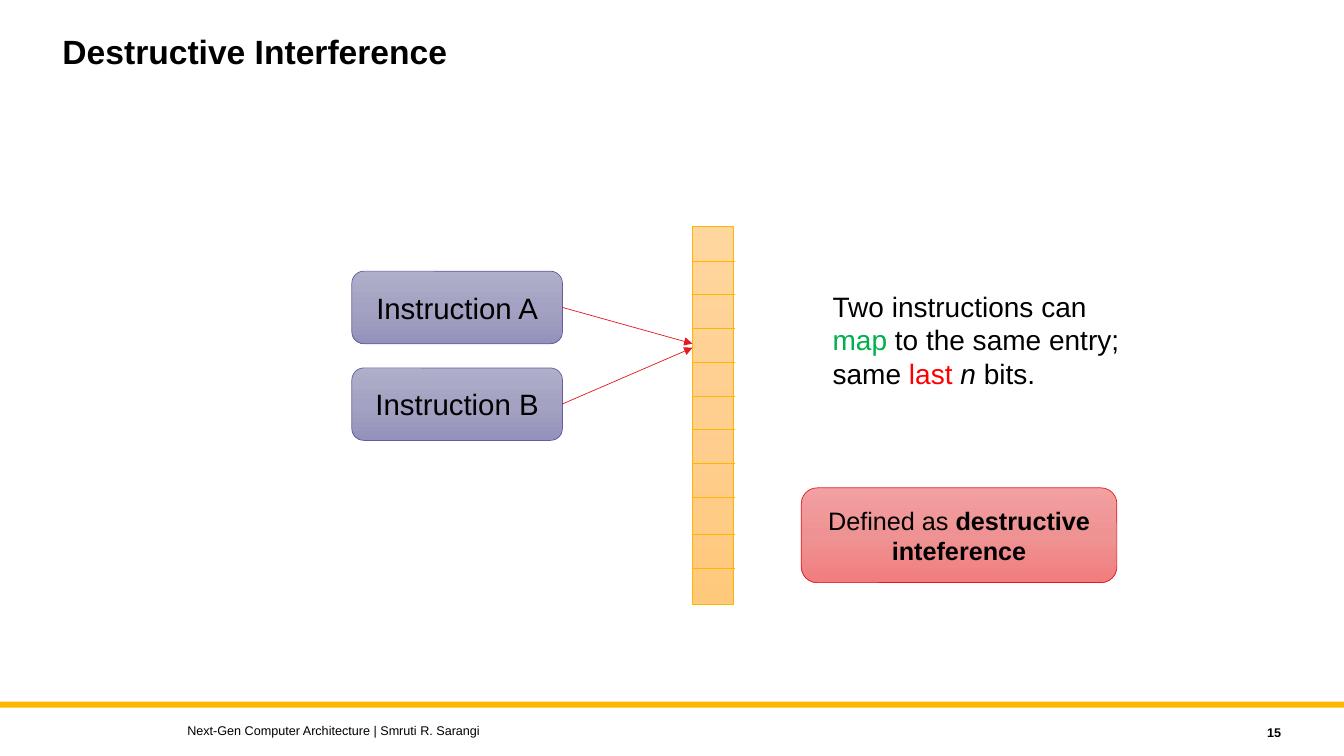
"""Build the slide on destructive interference in a prediction table."""
import copy
from dataclasses import dataclass

import lxml.etree
import pptx
import pptx.dml.color
import pptx.enum.shapes
import pptx.enum.text
import pptx.oxml.ns
import pptx.slide
import pptx.util

Pt = pptx.util.Pt
qn = pptx.oxml.ns.qn
Align = pptx.enum.text.PP_ALIGN
Anchor = pptx.enum.text.MSO_ANCHOR
Form = pptx.enum.shapes.MSO_SHAPE

HEX = {
    "black": "000000", "gold": "FFB600", "red": "E21A23", "violet": "625D9C",
    "green": "00B050", "alert": "FF0000",
}
FADE = {
    "gold": ("FFD69E", "FFCF90", "FFC97C"),
    "violet": ("B0AFCA", "A4A2C2", "9492BB"),
    "red": ("F2A0A1", "EF9293", "F27D7E"),
}


@dataclass
class Span:
    text: str
    color: str = "black"
    bold: bool = False
    slant: bool = False


@dataclass
class Box:
    area: tuple[float, float, float, float]
    hue: str
    form: int = Form.ROUNDED_RECTANGLE
    size: float = 0
    spans: tuple[Span, ...] = ()


@dataclass
class Line:
    start: tuple[float, float]
    end: tuple[float, float]
    hue: str
    arrow: bool = False


@dataclass
class Note:
    area: tuple[float, float, float, float]
    span: Span
    align: int


BOXES = [
    Box((494.64, 162, 29.52, 270), "gold", Form.RECTANGLE),
    *(Box((251.3, top, 150.5, 51.8), "violet", size=21, spans=(Span(name),))
      for name, top in (("Instruction A", 193.7), ("Instruction B", 262.8))),
    Box((572.4, 348.5, 225.4, 67.7), "red", size=18,
        spans=(Span("Defined as "), Span("destructive inteference", bold=True))),
]
ROWS = [186.5 + 24.1 * row + (2.5 if row > 7 else 0) for row in range(10)]
LINES = [
    *(Line((495, y), (525.2, y), "gold") for y in ROWS),
    Line((401.8, 219.6), (494.64, 245.5), "red", True),
    Line((401.4, 288.7), (494.64, 248.4), "red", True),
]
NOTES = [
    Note((126.7, 512.6, 576, 18),
         Span("Next-Gen Computer Architecture | Smruti R. Sarangi"), Align.LEFT),
    Note((821.5, 514.1, 100.8, 18), Span("15", bold=True), Align.RIGHT),
]
CLAIM = (
    Span("Two instructions can "), Span("map", "green"),
    Span(" to the same entry; same "), Span("last ", "alert"),
    Span("n ", slant=True), Span("bits."),
)


def tint(name: str) -> pptx.dml.color.RGBColor:
    """Return the colour for a name or hex string."""
    return pptx.dml.color.RGBColor.from_string(HEX.get(name, name))


def write(frame, spans: tuple[Span, ...], size: float, align: int, anchor: int) -> None:
    """Fill a text frame with one paragraph of styled spans."""
    frame.word_wrap = True
    frame.auto_size = pptx.enum.text.MSO_AUTO_SIZE.NONE
    frame.vertical_anchor = anchor
    para = frame.paragraphs[0]
    para.alignment = align
    para.space_before = Pt(0)
    para.text = spans[0].text
    for span in spans[1:]:
        para.add_run().text = span.text
    for run, span in zip(para.runs, spans):
        run.font.name = "Arial"
        run.font.size = Pt(size)
        run.font.bold = span.bold
        run.font.italic = span.slant
        run.font.color.rgb = tint(span.color)


def place(shape, area: tuple[float, float, float, float]) -> None:
    """Move and size a shape."""
    shape.left, shape.top, shape.width, shape.height = map(Pt, area)


def shade(shape, hue: str) -> None:
    """Give a shape a three-stop gradient from top to bottom."""
    shape.fill.gradient()
    shape.fill.gradient_angle = 270
    stops = shape.element.spPr.find(qn("a:gradFill")).find(qn("a:gsLst"))
    stops.append(copy.deepcopy(stops[0]))
    for index, (stop, color) in enumerate(zip(shape.fill.gradient_stops, FADE[hue])):
        stop.position = index / 2
        stop.color.rgb = tint(color)


def block(slide: pptx.slide.Slide, box: Box) -> None:
    """Draw a shaded box with its text."""
    shape = slide.shapes.add_shape(box.form, *map(Pt, box.area))
    shape.shadow.inherit = False
    shade(shape, box.hue)
    shape.line.color.rgb = tint(box.hue)
    shape.line.width = Pt(0.5)
    if box.spans:
        write(shape.text_frame, box.spans, box.size, Align.CENTER, Anchor.MIDDLE)


def link(slide: pptx.slide.Slide, line: Line) -> None:
    """Draw a thin line or arrow."""
    kind = pptx.enum.shapes.MSO_CONNECTOR.STRAIGHT
    shape = slide.shapes.add_connector(kind, *map(Pt, line.start + line.end))
    shape.line.color.rgb = tint(line.hue)
    shape.line.width = Pt(0.5)
    props = shape.element.spPr
    if line.arrow:
        lxml.etree.SubElement(props.find(qn("a:ln")), qn("a:tailEnd"), type="triangle")
    lxml.etree.SubElement(props, qn("a:effectLst"))


def label(slide: pptx.slide.Slide, note: Note) -> None:
    """Add a small footer text."""
    shape = slide.shapes.add_textbox(*map(Pt, note.area))
    write(shape.text_frame, (note.span,), 9, note.align, Anchor.MIDDLE)


def main() -> None:
    """Build and save the deck."""
    deck = pptx.Presentation()
    deck.slide_width, deck.slide_height = Pt(960), Pt(540)
    slide = deck.slides.add_slide(deck.slide_layouts[1])

    bar = slide.shapes.add_shape(Form.RECTANGLE, Pt(0), Pt(501.1), Pt(960), Pt(4.3))
    bar.shadow.inherit = False
    bar.fill.solid()
    bar.fill.fore_color.rgb = tint("gold")
    bar.line.fill.background()

    title, body = slide.placeholders
    place(title, (37.4, 21.6, 720, 64.8))
    write(title.text_frame, (Span("Destructive Interference", bold=True),), 24,
          Align.LEFT, Anchor.TOP)
    title.text_frame.paragraphs[0].line_spacing = 0.9

    place(body, (587.5, 203, 236.9, 143.3))
    write(body.text_frame, CLAIM, 20, Align.LEFT, Anchor.TOP)
    props = body.text_frame.paragraphs[0]._p.get_or_add_pPr()
    props.set("marL", "0")
    props.set("indent", "0")
    lxml.etree.SubElement(props, qn("a:buNone"))

    for box in BOXES:
        block(slide, box)
    for line in LINES:
        link(slide, line)
    for note in NOTES:
        label(slide, note)
    deck.save("out.pptx")


if __name__ == "__main__":
    main()
